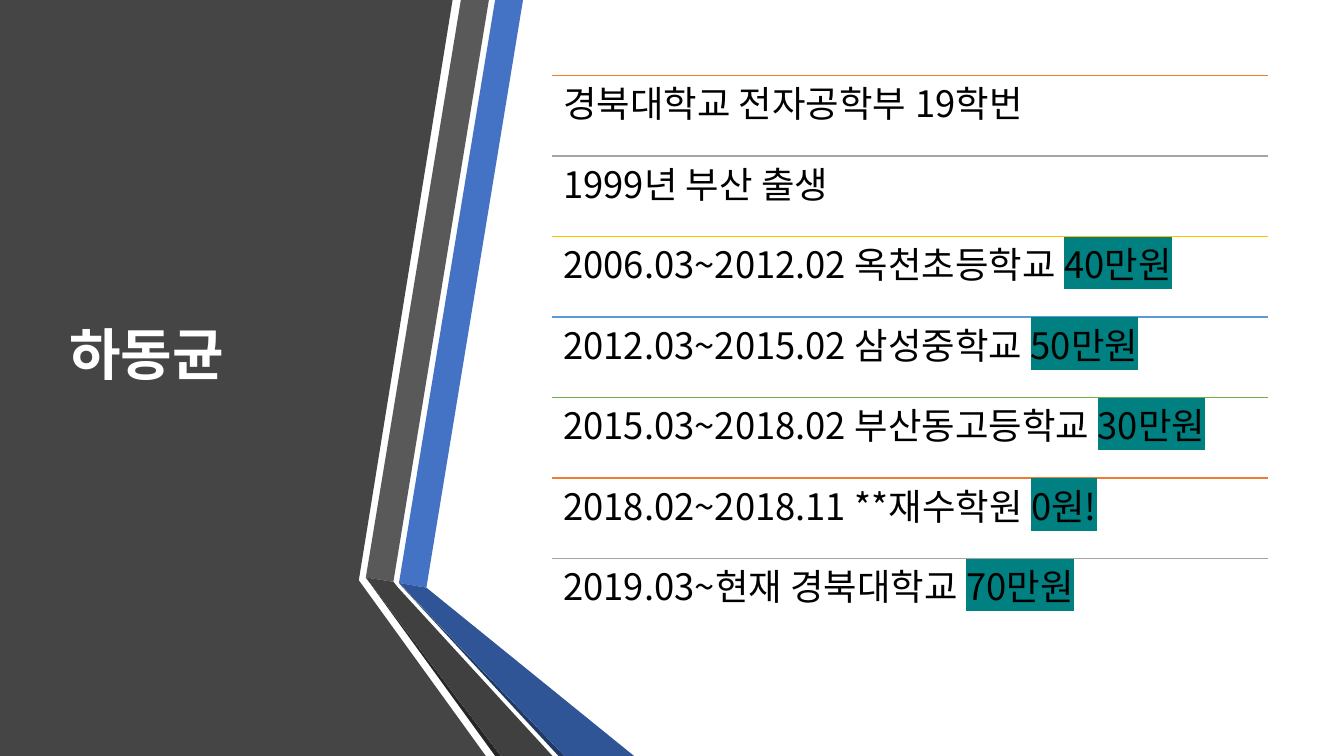
from dataclasses import dataclass
from itertools import cycle

from lxml.etree import SubElement
from pptx import Presentation
from pptx.dml.color import RGBColor
from pptx.enum.shapes import MSO_CONNECTOR
from pptx.enum.text import MSO_ANCHOR, MSO_AUTO_SIZE, PP_ALIGN
from pptx.oxml import parse_xml
from pptx.oxml.ns import nsdecls, qn
from pptx.util import Pt


@dataclass(frozen=True)
class Theme:
    font: str = "Noto Sans CJK KR"
    title_size: int = 40
    row_size: int = 26
    title: str = "FFFFFF"
    text: str = "000000"
    highlight: str = "008080"
    panel: str = "454545"
    blue: str = "4472C4"
    blue_fold: str = "2F5597"
    blue_edge: str = "203864"
    gray: str = "595959"
    gray_fold: str = "404040"
    gray_edge: str = "262626"
    rules: tuple = ("ED7D31", "A5A5A5", "FFC000", "5B9BD5", "70AD47")


THEME = Theme()
WIDTH, HEIGHT = 960, 540

# Outlines in points, back to front
OUTLINES = [
    (THEME.panel, [(0, 0), (323.3, 0), (256.3, 414.5), (347, HEIGHT), (0, HEIGHT)]),
    (THEME.blue, [(285, 416.4), (304.6, 419.8), (373.6, 0), (353.7, 0)]),
    (THEME.gray, [(349.2, 0), (329.2, 0), (261.3, 412.5), (281, 415.6)]),
    (THEME.gray_edge, [(261.3, 412.5), (353.7, HEIGHT), (357.8, HEIGHT)]),
    (THEME.blue_edge, [(285, 416.6), (399, HEIGHT), (403.2, HEIGHT)]),
    (THEME.blue_fold, [(285, 416.4), (403.2, HEIGHT), (452.9, HEIGHT), (304.6, 419.8)]),
    (THEME.gray_fold, [(394.6, HEIGHT), (284.4, 419.8), (281, 415.6), (261.3, 412.5),
                       (357.8, HEIGHT)]),
]

# Career rows: plain text, highlighted amount
ROWS = [
    ("경북대학교 전자공학부 19학번", ""),
    ("1999년 부산 출생", ""),
    ("2006.03~2012.02 옥천초등학교 ", "40만원"),
    ("2012.03~2015.02 삼성중학교 ", "50만원"),
    ("2015.03~2018.02 부산동고등학교 ", "30만원"),
    ("2018.02~2018.11 **재수학원 ", "0원!"),
    ("2019.03~현재 경북대학교 ", "70만원"),
]
ROW_LEFT, ROW_TOP, ROW_WIDTH, ROW_HEIGHT = 394.6, 54, 511.2, 57.5


def add_run(p, text, size, color, bold=False, highlight=None):
    r = p.add_run()
    r.text = text
    r.font.size = Pt(size)
    r.font.bold = bold
    r.font.color.rgb = RGBColor.from_string(color)
    r.font.name = THEME.font
    # East Asian font and highlight
    rPr = r._r.get_or_add_rPr()
    SubElement(rPr, qn("a:ea"), typeface=THEME.font)
    if highlight:
        rPr.find(qn("a:latin")).addprevious(parse_xml(
            f'<a:highlight {nsdecls("a")}><a:srgbClr val="{highlight}"/></a:highlight>'))


def add_outline(s, color, points):
    start, *rest = [(Pt(x), Pt(y)) for x, y in points]
    builder = s.shapes.build_freeform(*start)
    builder.add_line_segments(rest, close=True)
    sp = builder.convert_to_shape()
    sp.shadow.inherit = False
    sp.fill.solid()
    sp.fill.fore_color.rgb = RGBColor.from_string(color)
    sp.line.fill.background()


def add_title(s, text):
    sp = s.shapes.title
    sp.left, sp.top, sp.width, sp.height = Pt(42.5), Pt(54), Pt(219), Pt(402)
    tf = sp.text_frame
    tf.vertical_anchor = MSO_ANCHOR.MIDDLE
    p = tf.paragraphs[0]
    p.alignment = PP_ALIGN.LEFT
    p.line_spacing = 0.9
    add_run(p, text, THEME.title_size, THEME.title, bold=True)


def add_rule(s, top, color):
    line = s.shapes.add_connector(MSO_CONNECTOR.STRAIGHT, Pt(ROW_LEFT), Pt(top),
                                  Pt(ROW_LEFT + ROW_WIDTH), Pt(top))
    line.line.width = Pt(1)
    line.line.color.rgb = RGBColor.from_string(color)
    SubElement(line._element.spPr, qn("a:effectLst"))


def add_row(s, top, text, amount):
    sp = s.shapes.add_textbox(Pt(ROW_LEFT), Pt(top), Pt(ROW_WIDTH), Pt(ROW_HEIGHT))
    tf = sp.text_frame
    tf.word_wrap = True
    tf.auto_size = MSO_AUTO_SIZE.NONE
    tf.vertical_anchor = MSO_ANCHOR.TOP
    tf.margin_left = tf.margin_right = tf.margin_top = tf.margin_bottom = Pt(7.8)
    p = tf.paragraphs[0]
    p.line_spacing = 0.9
    add_run(p, text, THEME.row_size, THEME.text)
    if amount:
        add_run(p, amount, THEME.row_size, THEME.text, highlight=THEME.highlight)


def main():
    prs = Presentation()
    prs.slide_width, prs.slide_height = Pt(WIDTH), Pt(HEIGHT)
    s = prs.slides.add_slide(prs.slide_layouts[5])

    # Folded side panel
    for color, points in OUTLINES:
        add_outline(s, color, points)

    # Bring the title in front of the panel
    add_title(s, "하동균")
    s.shapes.element.append(s.shapes.title.element)

    # Ruled career rows
    for i, ((text, amount), color) in enumerate(zip(ROWS, cycle(THEME.rules))):
        top = ROW_TOP + i * ROW_HEIGHT
        add_rule(s, top, color)
        add_row(s, top, text, amount)

    prs.save("out.pptx")


if __name__ == "__main__":
    main()
